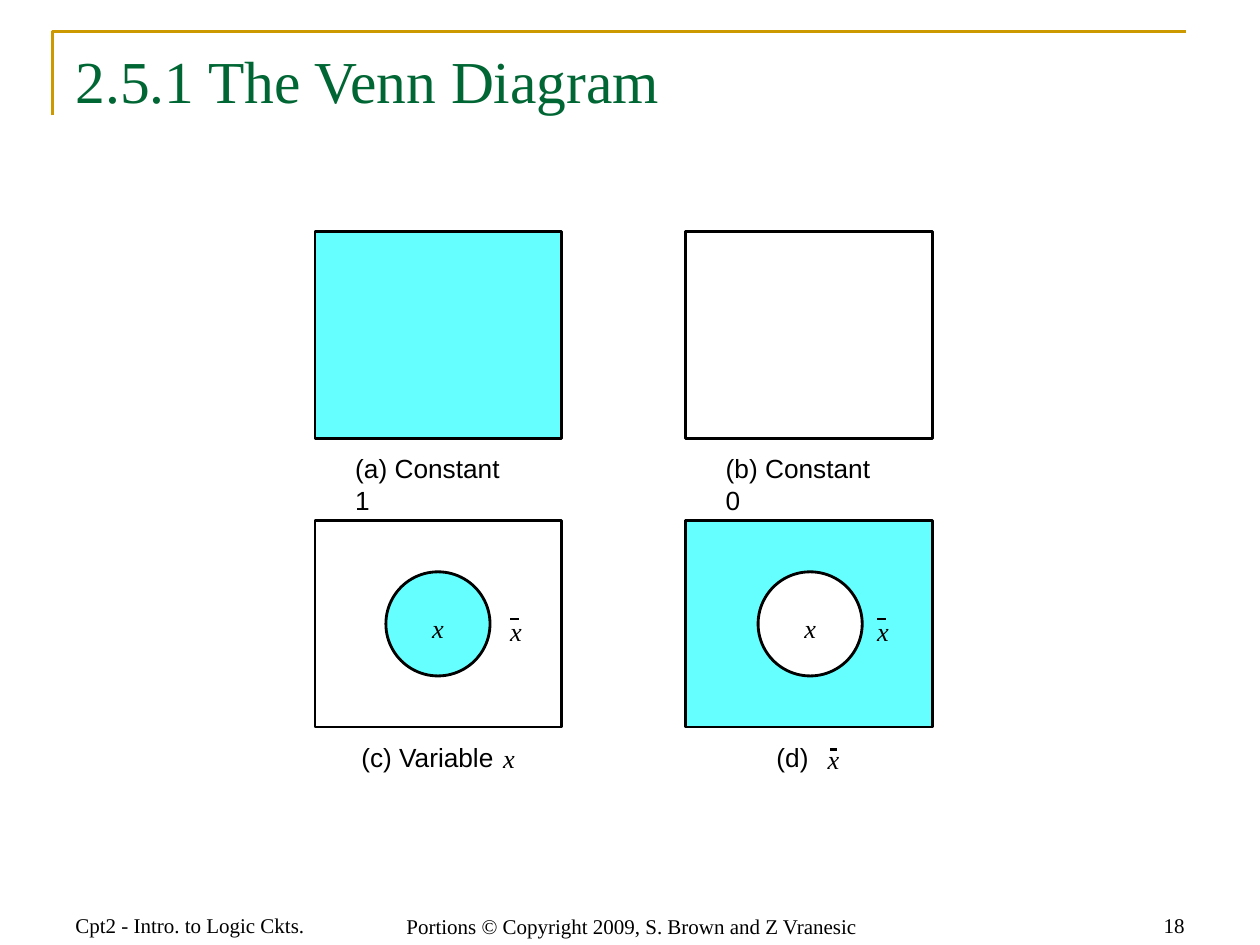
from dataclasses import dataclass
from pptx import Presentation
from pptx.dml.color import RGBColor as Rgb
from pptx.enum.shapes import MSO_CONNECTOR as Link, MSO_SHAPE as Shape
from pptx.enum.text import MSO_ANCHOR as Anchor, MSO_AUTO_SIZE as Fit, PP_ALIGN as Align
from pptx.oxml.ns import qn
from pptx.util import Pt


@dataclass(frozen=True)
class Theme:
    """Colours, fonts, type sizes and line widths."""
    ink: Rgb = Rgb(0, 0, 0)
    paper: Rgb = Rgb(255, 255, 255)
    cyan: Rgb = Rgb(0x66, 0xFF, 0xFF)
    green: Rgb = Rgb(0, 0x66, 0x33)
    gold: Rgb = Rgb(0xCC, 0x99, 0)
    serif: str = "Times New Roman"
    sans: str = "Arial"
    title: float = 34
    label: float = 15
    footer: float = 12
    outline: float = 1.62
    rule: float = 1.5


THEME = Theme()
SERIF = {"name": THEME.serif, "size": Pt(THEME.label), "italic": True}
SANS = {"name": THEME.sans, "size": Pt(THEME.label)}
FOOTER = {"name": THEME.serif, "size": Pt(THEME.footer)}
TITLE = {"name": THEME.serif, "size": Pt(THEME.title)}
LABEL_FRAME = {"margin_left": 0, "margin_top": 0, "margin_right": 0, "margin_bottom": 0,
               "word_wrap": False, "auto_size": Fit.SHAPE_TO_FIT_TEXT}
FOOTER_FRAME = {"word_wrap": True, "vertical_anchor": Anchor.BOTTOM}
TITLE_FRAME = {"word_wrap": True, "vertical_anchor": Anchor.TOP, "auto_size": Fit.NONE}


def apply(target, values):
    """Set each attribute named in values on the target."""
    for name, value in values.items():
        setattr(target, name, value)


def write(box, text, font, frame, align=Align.LEFT, color=THEME.ink):
    """Fill a box with one formatted paragraph."""
    apply(box.text_frame, frame)
    para = box.text_frame.paragraphs[0]
    para.alignment = align
    span = para.add_run()
    span.text = text
    apply(span.font, font)
    span.font.color.rgb = color


def add_label(page, text, left, top, width, font):
    """Place a tight one-line label."""
    box = page.shapes.add_textbox(Pt(left), Pt(top), Pt(width), Pt(18))
    write(box, text, font, LABEL_FRAME)


def add_x(page, left, top):
    """Place the italic variable x."""
    add_label(page, "x", left, top, 11.5, SERIF)


def add_x_bar(page, left, top, inset=0, drop=2.2, length=5):
    """Place the complement of x, an x under a short bar."""
    start, level = Pt(left + inset), Pt(top + drop)
    bar = page.shapes.add_connector(Link.STRAIGHT, start, level, start + Pt(length), level)
    bar.line.color.rgb = THEME.ink
    bar.line.width = Pt(THEME.outline)
    properties = bar._element.spPr
    properties.append(properties.makeelement(qn("a:effectLst"), {}))
    add_x(page, left, top)


def add_region(page, kind, box, fill):
    """Draw an outlined set region in the given box."""
    region = page.shapes.add_shape(kind, *map(Pt, box))
    region.shadow.inherit = False
    region.fill.solid()
    region.fill.fore_color.rgb = fill
    region.line.color.rgb = THEME.ink
    region.line.width = Pt(THEME.outline)


def add_variable_panel(page, box, outside, inside, circle_shift, bar_shift):
    """Draw a universe holding the set x and its complement."""
    left, top, width, height = box
    size = 59.5
    circle_left = left + circle_shift
    add_region(page, Shape.RECTANGLE, box, outside)
    add_region(page, Shape.OVAL, (circle_left, top + (height - size) / 2, size, size), inside)
    add_x(page, circle_left + 26.5, top + 52.5)
    add_x_bar(page, left + bar_shift, top + 54)


def add_diagrams(page, box):
    """Lay out the four Venn panels and captions on a two by two grid."""
    left, top, width, height = box
    wide, high = 141, 118
    right, lower = left + width - wide, top + height - high
    caption = high + 8
    for column, fill, text in ((left, THEME.cyan, "(a) Constant 1"),
                               (right, THEME.paper, "(b) Constant 0")):
        add_region(page, Shape.RECTANGLE, (column, top, wide, high), fill)
        add_label(page, text, column + 23, top + caption, 95, SANS)
    add_variable_panel(page, (left, lower, wide, high), THEME.paper, THEME.cyan, 40.5, 111.5)
    add_variable_panel(page, (right, lower, wide, high), THEME.cyan, THEME.paper, 41.5, 109.5)
    add_label(page, "(c) Variable", left + 26.5, lower + caption, 77, SANS)
    add_x(page, left + 107.5, lower + caption + 0.5)
    add_label(page, "(d)", right + 52, lower + caption, 22, SANS)
    add_x_bar(page, right + 81.3, lower + caption + 1.5, 1.5, 3.5, 3.6)


def add_heading(page, box):
    """Draw the corner rule and set the title below it."""
    left, top, width, height = box
    outline = page.shapes.build_freeform(Pt(left), Pt(top + height))
    outline.add_line_segments([(Pt(left), Pt(top)), (Pt(left + width), Pt(top))], close=False)
    rule = outline.convert_to_shape()
    rule.shadow.inherit = False
    rule.fill.background()
    rule.line.color.rgb = THEME.gold
    rule.line.width = Pt(THEME.rule)
    title = page.shapes.title
    apply(title, {"left": Pt(left + 6), "top": Pt(top + 3.6), "width": Pt(width), "height": Pt(90)})
    write(title, "2.5.1 The Venn Diagram", TITLE, TITLE_FRAME, color=THEME.green)


def add_footer(page, box):
    """Place the chapter, copyright and page number along the bottom."""
    left, top, width, height = box
    side = 168
    parts = (("Cpt2 - Intro. to Logic Ckts.", left, 0, side, Align.LEFT),
             ("Portions © Copyright 2009, S. Brown and Z Vranesic", left + side, 0.7, 314, Align.CENTER),
             ("18", left + width - side, 0, side, Align.RIGHT))
    for text, start, drop, wide, align in parts:
        part = page.shapes.add_textbox(Pt(start), Pt(top + drop), Pt(wide), Pt(height))
        write(part, text, FOOTER, FOOTER_FRAME, align)


def main():
    """Build and save the slide."""
    deck = Presentation()
    apply(deck, {"slide_width": Pt(720), "slide_height": Pt(540)})
    page = deck.slides.add_slide(deck.slide_layouts[5])
    add_heading(page, (30, 18, 648, 48))
    add_diagrams(page, (180, 132.5, 352.7, 283))
    add_footer(page, (36, 503.3, 648, 36))
    deck.save("out.pptx")


if __name__ == "__main__":
    main()
